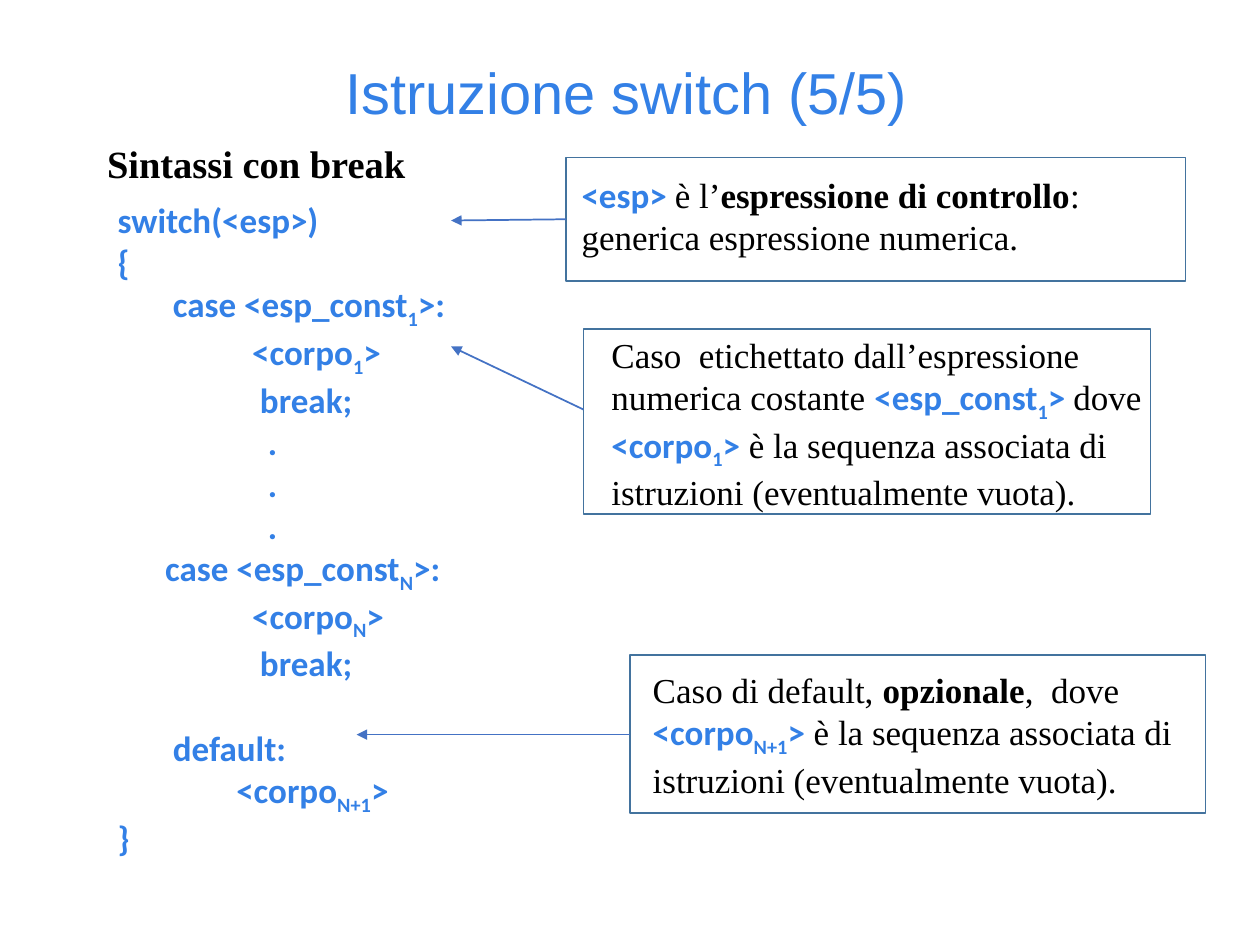
"""Build the slide on the switch statement with break."""
from dataclasses import dataclass

from lxml import etree
from pptx import Presentation
from pptx import util as u
from pptx.dml import color
from pptx.enum import shapes, text
from pptx.oxml import ns

COLORS = {"code": "3380E6", "body": "000000", "border": "43739E", "arrow": "4472C4"}
SPACE = 4.52
CODE_INDENT = 54
LINE_HEIGHT = 24.4


@dataclass(frozen=True)
class Span:
    words: str
    style: str = "plain"


@dataclass(frozen=True)
class CodeLine:
    depth: int
    words: str
    index: str = ""
    end: str = ""
    before: float = 0


@dataclass(frozen=True)
class Callout:
    left: float
    top: float
    width: float
    height: float
    inset_left: float
    inset_top: float
    arrow_y: float
    tip: tuple[float, float]
    spans: tuple[Span, ...]


def rgb(name: str) -> color.RGBColor:
    return color.RGBColor.from_string(COLORS[name])


def set_font(font, name: str, size: float, tint: str, bold: bool = False) -> None:
    font.name, font.size, font.bold = name, u.Pt(size), bold
    font.color.rgb = rgb(tint)


def add_span(para, words: str, lowered: bool = False):
    span = para.add_run()
    span.text = words
    if lowered:
        span._r.get_or_add_rPr().set("baseline", "-25000")
    return span


def place(box, left: float, top: float, width: float, height: float) -> None:
    box.left, box.top, box.width, box.height = map(u.Pt, (left, top, width, height))
    box.text_frame.auto_size = text.MSO_AUTO_SIZE.NONE
    box.text_frame.word_wrap = True


def remove_bullet(para, indent: float = 0) -> None:
    props = para._p.get_or_add_pPr()
    props.set("marL", str(u.Pt(indent)))
    props.set("indent", "0")
    props.insert_element_before(
        etree.Element(ns.qn("a:buNone")), "a:tabLst", "a:defRPr", "a:extLst")


def add_code(box, lines: list[CodeLine]) -> None:
    frame = box.text_frame
    for number, line in enumerate(lines):
        para = frame.add_paragraph() if number else frame.paragraphs[0]
        para.line_spacing = 1.0 if number else 0.9
        para.space_before = u.Pt(line.before)
        set_font(para.font, "Calibri", 20, "code", True)
        remove_bullet(para, CODE_INDENT + line.depth * SPACE)
        add_span(para, line.words)
        if line.index:
            add_span(para, line.index, True)
            add_span(para, line.end)


def add_callout(page, callout: Callout) -> None:
    box = page.shapes.add_shape(shapes.MSO_SHAPE.RECTANGLE, 0, 0, 0, 0)
    place(box, callout.left, callout.top, callout.width, callout.height)
    box.shadow.inherit = False
    box.fill.background()
    box.line.color.rgb = rgb("border")
    box.line.width = u.Pt(1)
    frame = box.text_frame
    frame.vertical_anchor = text.MSO_ANCHOR.TOP
    frame.margin_left, frame.margin_top = u.Pt(callout.inset_left), u.Pt(callout.inset_top)
    frame.margin_right = frame.margin_bottom = 0
    para = frame.paragraphs[0]
    para.alignment = text.PP_ALIGN.LEFT
    for part in callout.spans:
        span = add_span(para, part.words, part.style == "index")
        if part.style in ("code", "index"):
            set_font(span.font, "Calibri", 20, "code", True)
        else:
            set_font(span.font, "Times New Roman", 20, "body", part.style == "bold")


def add_arrow(page, callout: Callout) -> None:
    ends = (callout.left, callout.arrow_y, *callout.tip)
    arrow = page.shapes.add_connector(shapes.MSO_CONNECTOR.STRAIGHT, *map(u.Pt, ends))
    arrow.line.color.rgb = rgb("arrow")
    arrow.line.width = u.Pt(1)
    etree.SubElement(arrow.line._get_or_add_ln(), ns.qn("a:tailEnd"), type="triangle")
    etree.SubElement(arrow._element.spPr, ns.qn("a:effectLst"))


CODE = [
    CodeLine(0, "switch(<esp>)", before=3.8),
    CodeLine(0, "{"),
    CodeLine(7, "case <esp_const", "1", ">:"),
    CodeLine(17, "<corpo", "1", ">"),
    CodeLine(18, "break;"),
    *[CodeLine(19, ".")] * 3,
    CodeLine(6, "case <esp_const", "N", ">:"),
    CodeLine(17, "<corpo", "N", ">"),
    CodeLine(18, "break;"),
    CodeLine(7, "default:", before=LINE_HEIGHT),
    CodeLine(15, "<corpo", "N+1", ">"),
    CodeLine(0, "}"),
]
SEQUENCE = Span(" è la sequenza associata di istruzioni (eventualmente vuota).")
CALLOUTS = [
    Callout(323.3, 90, 354.2, 70.6, 9, 9, 125.3, (257.8, 126), (
        Span("<esp> ", "code"), Span("è l’"), Span("espressione di controllo", "bold"),
        Span(": generica espressione numerica."))),
    Callout(333.4, 188, 324, 105.8, 16, 2.5, 234, (257.8, 198), (
        Span("Caso  etichettato dall’espressione numerica costante "),
        Span("<esp_const", "code"), Span("1", "index"), Span("> ", "code"), Span("dove "),
        Span("<corpo", "code"), Span("1", "index"), Span(">", "code"), SEQUENCE)),
    Callout(360, 374.4, 329, 90, 13, 7.5, 419.8, (203.8, 419.8), (
        Span("Caso di default, "), Span("opzionale", "bold"), Span(",  dove "),
        Span("<corpo", "code"), Span("N+1", "index"), Span(">", "code"), SEQUENCE)),
]

deck = Presentation()
deck.slide_width, deck.slide_height = u.Pt(720), u.Pt(540)
page = deck.slides.add_slide(deck.slide_layouts.get_by_name("Two Content"))
title, heading, code = page.placeholders

place(title, 16, 30, 684, 49)
title.text_frame.text = "Istruzione switch (5/5)"
title_para = title.text_frame.paragraphs[0]
title_para.line_spacing = 0.9
set_font(title_para.font, "Arial", 33, "code")

place(heading, 54, 79.2, 213, 32)
heading.text_frame.text = "Sintassi con break"
heading_para = heading.text_frame.paragraphs[0]
heading_para.line_spacing = 0.9
heading_para.space_before = u.Pt(7.5)
set_font(heading_para.font, "Times New Roman", 22, "body", True)
remove_bullet(heading_para)

place(code, 6, 112.3, 282, 314)
add_code(code, CODE)

for callout in CALLOUTS:
    add_callout(page, callout)
for callout in CALLOUTS:
    add_arrow(page, callout)

deck.save("out.pptx")
